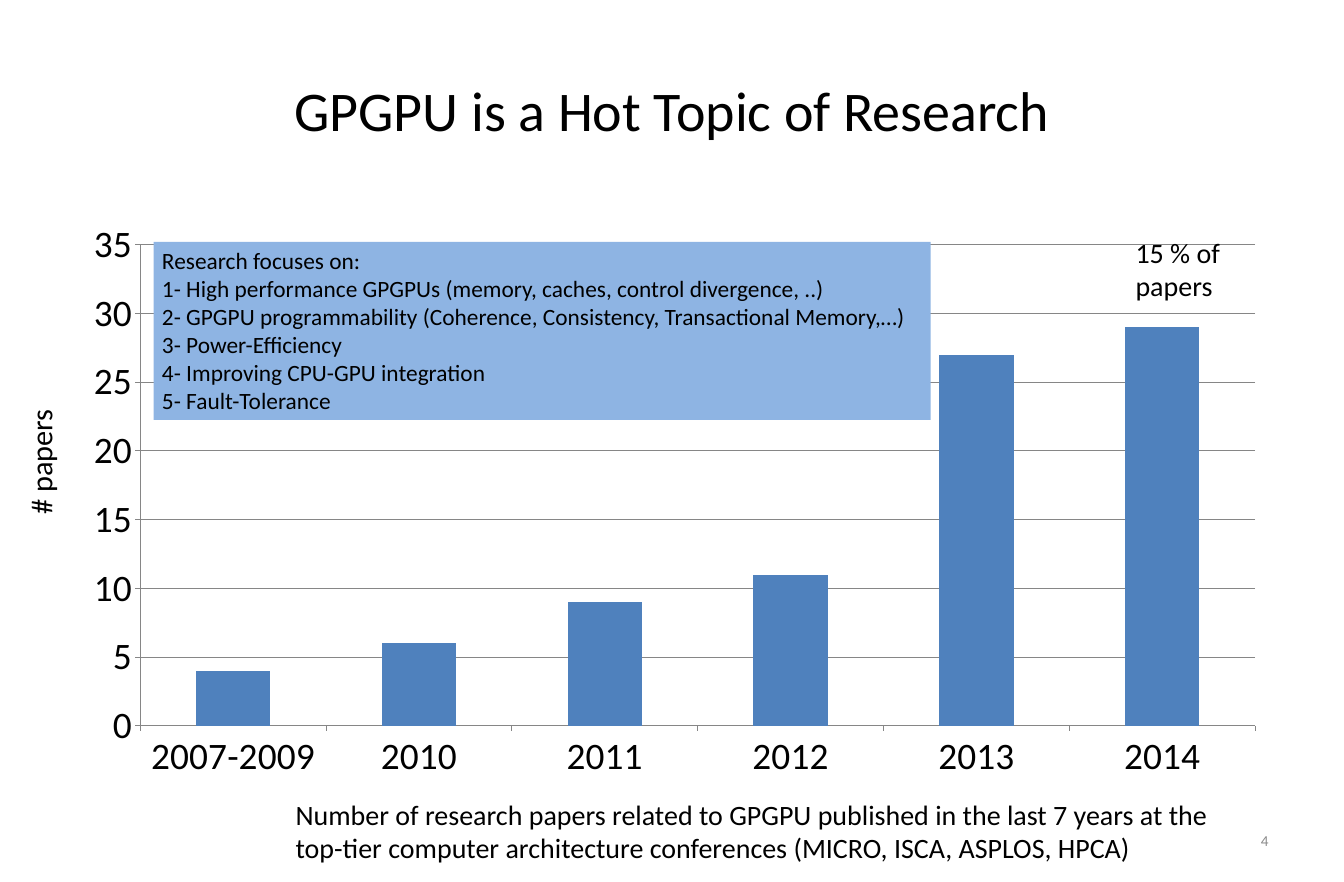
from pptx import Presentation
from pptx.chart.data import CategoryChartData
from pptx.dml.color import RGBColor
from pptx.enum.chart import XL_CHART_TYPE as ChartType, XL_TICK_MARK as TickMark
from pptx.enum.shapes import MSO_SHAPE as Shape
from pptx.enum.text import MSO_ANCHOR as Anchor, PP_ALIGN as Align
from pptx.util import Inches, Pt

FONT = "Calibri"
BLACK = RGBColor(0x00, 0x00, 0x00)
GRAY = RGBColor(0x8C, 0x8C, 0x8C)
LINE_GRAY = RGBColor(0x86, 0x86, 0x86)
BAR_BLUE = RGBColor(0x4F, 0x81, 0xBD)
PANEL_BLUE = RGBColor(0x8E, 0xB4, 0xE3)

PAPERS = {"2007-2009": 4, "2010": 6, "2011": 9, "2012": 11, "2013": 27, "2014": 29}
CAPTION = [
    "Number of research papers related to GPGPU published in the last 7 years at the",
    "top-tier computer architecture conferences (MICRO, ISCA, ASPLOS, HPCA)",
]
FOCUS = [
    "Research focuses on:",
    "1- High performance GPGPUs (memory, caches, control divergence, ..)",
    "2- GPGPU programmability (Coherence, Consistency, Transactional Memory,…)",
    "3- Power-Efficiency",
    "4- Improving CPU-GPU integration",
    "5- Fault-Tolerance",
]


def place(left, top, width, height):
    return [Inches(value) for value in (left, top, width, height)]


def set_font(font, size, color=BLACK):
    font.name = FONT
    font.size = Pt(size)
    font.color.rgb = color


def write_lines(shape, lines, size, color=BLACK, align=Align.LEFT,
                anchor=Anchor.TOP, wrap=True):
    frame = shape.text_frame
    frame.text = "\n".join(lines)
    frame.word_wrap = wrap
    frame.vertical_anchor = anchor
    for para in frame.paragraphs:
        para.alignment = align
        for span in para.runs:
            set_font(span.font, size, color)


def add_text(page, area, lines, size, **style):
    box = page.shapes.add_textbox(*place(*area))
    write_lines(box, lines, size, **style)
    return box


def add_panel(page, area, lines, size):
    panel = page.shapes.add_shape(Shape.RECTANGLE, *place(*area))
    panel.shadow.inherit = False
    panel.fill.solid()
    panel.fill.fore_color.rgb = PANEL_BLUE
    panel.line.fill.background()
    write_lines(panel, lines, size)


def add_papers_chart(page, area):
    data = CategoryChartData()
    data.categories = list(PAPERS)
    data.add_series("Series 1", list(PAPERS.values()))
    chart = page.shapes.add_chart(ChartType.COLUMN_CLUSTERED, *place(*area), data).chart
    chart.has_legend = False
    chart.has_title = False
    set_font(chart.font, 18)

    plot = chart.plots[0]
    plot.gap_width = 150
    plot.vary_by_categories = False
    bars = plot.series[0].format.fill
    bars.solid()
    bars.fore_color.rgb = BAR_BLUE

    for axis in (chart.category_axis, chart.value_axis):
        axis.major_tick_mark = TickMark.OUTSIDE
        axis.format.line.color.rgb = LINE_GRAY
        set_font(axis.tick_labels.font, 32)
    values = chart.value_axis
    values.minimum_scale, values.maximum_scale, values.major_unit = 0, 35, 5
    values.has_major_gridlines = True
    values.major_gridlines.format.line.color.rgb = LINE_GRAY


def main():
    deck = Presentation()
    deck.slide_width, deck.slide_height = Inches(16), Inches(10.5)
    page = deck.slides.add_slide(deck.slide_layouts[6])

    add_text(page, (0.8, 0.42, 14.4, 1.75), ["GPGPU is a Hot Topic of Research"], 48,
             align=Align.CENTER, anchor=Anchor.MIDDLE)
    add_papers_chart(page, (0.83, 2.5, 14.4, 6.93))
    add_text(page, (11.47, 9.73, 3.73, 0.56), ["4"], 13, color=GRAY,
             align=Align.RIGHT, anchor=Anchor.MIDDLE)
    add_text(page, (3.42, 9.44, 11.08, 1.31), CAPTION, 24, wrap=False)
    add_text(page, (13.42, 2.75, 1.42, 0.91), ["15 % of papers"], 24)
    axis_label = add_text(page, (-0.25, 5.22, 1.47, 0.54), ["# papers"], 26, wrap=False)
    axis_label.rotation = 270
    add_panel(page, (1.83, 2.88, 9.25, 2.12), FOCUS, 20)

    deck.save("out.pptx")


if __name__ == "__main__":
    main()
